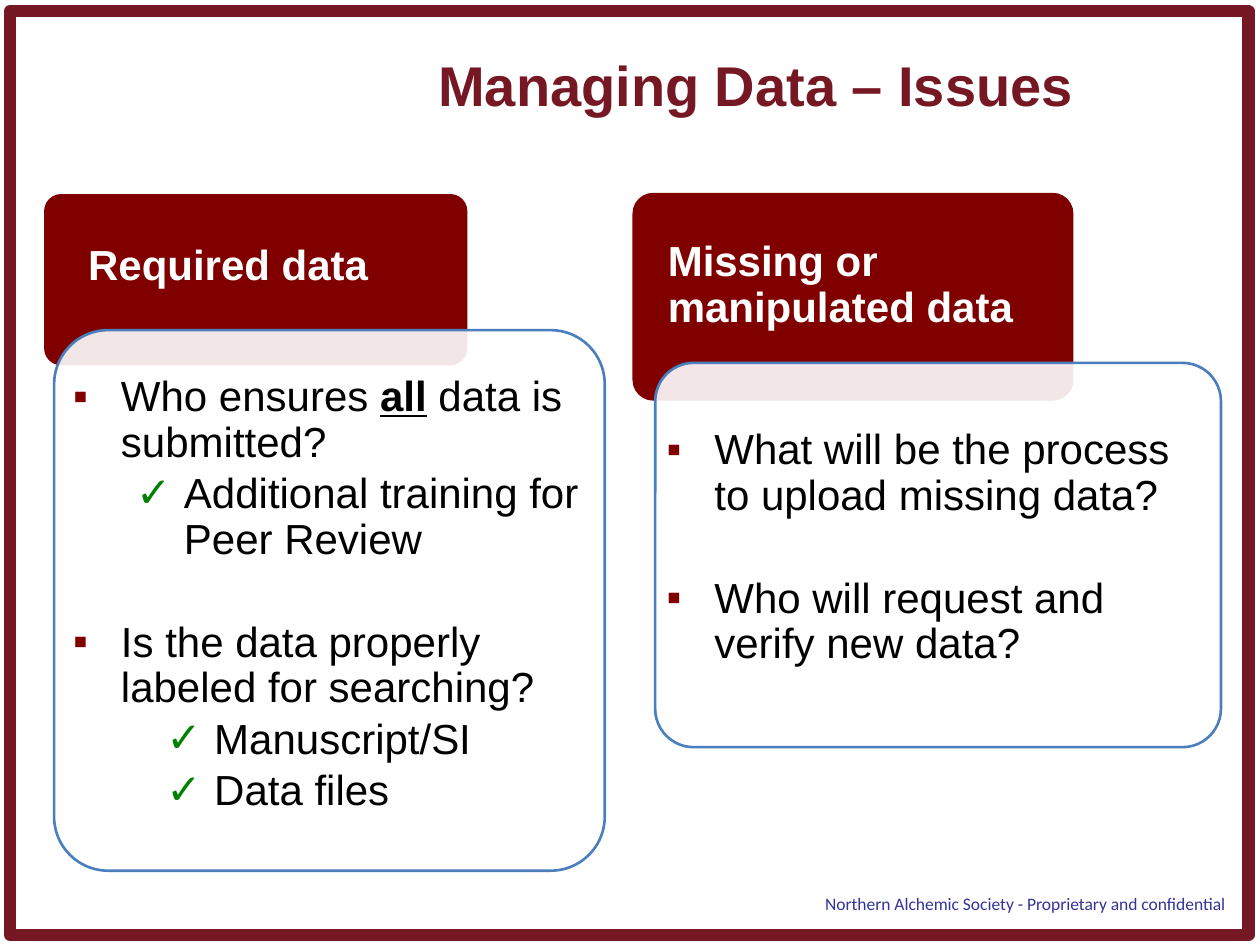
from lxml import etree
from pptx import Presentation
from pptx.dml.color import RGBColor
from pptx.enum.shapes import MSO_SHAPE
from pptx.enum.text import MSO_ANCHOR, PP_ALIGN
from pptx.oxml.ns import qn
from pptx.util import Inches, Pt

RECTANGLE = MSO_SHAPE.RECTANGLE
ROUNDED = MSO_SHAPE.ROUNDED_RECTANGLE
TOP = MSO_ANCHOR.TOP
LEFT = PP_ALIGN.LEFT

CRIMSON = RGBColor(0x76, 0x18, 0x23)
MAROON = RGBColor(0x80, 0x00, 0x00)
GREEN = RGBColor(0x00, 0x80, 0x00)
BLUE = RGBColor(0x4B, 0x7E, 0xBC)
NAVY = RGBColor(0x33, 0x33, 0x99)
WHITE = RGBColor(0xFF, 0xFF, 0xFF)
BLACK = RGBColor(0x00, 0x00, 0x00)

HANGING = 0.38
ITEM_GAP = 3.6
TOPIC_GAP = 33  # space that separates one question from the next

# Bullet character, colour and text indent for each kind of list item
QUESTION = ("▪", MAROON, 0.38)
CHECK = ("✓", GREEN, 0.88)
DEEP_CHECK = ("✓", GREEN, 1.12)

# Each item: kind, runs as (text, emphasised), space after in points
REQUIRED_ITEMS = [
    (QUESTION, [("Who ensures ", False), ("all", True),
                (" data is submitted?", False)], ITEM_GAP),
    (CHECK, [("Additional training for Peer Review", False)], TOPIC_GAP),
    (QUESTION, [("Is the data properly labeled for searching?", False)], ITEM_GAP),
    (DEEP_CHECK, [("Manuscript/SI", False)], ITEM_GAP),
    (DEEP_CHECK, [("Data files", False)], ITEM_GAP),
]
MISSING_ITEMS = [
    (QUESTION, [("What will be the process to upload missing data?", False)], TOPIC_GAP),
    (QUESTION, [("Who will request and verify new data?", False)], ITEM_GAP),
]


def add_box(slide, kind, box, fill=None, line=None, width=1.5, opacity=None):
    """Place a plain preset shape in box (left, top, width, height)."""
    shape = slide.shapes.add_shape(kind, *map(Inches, box))
    shape.shadow.inherit = False
    if kind == ROUNDED:
        shape.adjustments[0] = 0.1
    if fill is None:
        shape.fill.background()
    else:
        shape.fill.solid()
        shape.fill.fore_color.rgb = fill
    if line is None:
        shape.line.fill.background()
    else:
        shape.line.color.rgb = line
        shape.line.width = Pt(width)
    if opacity is not None:
        color = shape.fill._xPr.find(qn("a:solidFill"))[0]
        etree.SubElement(color, qn("a:alpha"), val=str(opacity * 1000))


def set_bullet(paragraph, char, color, indent):
    properties = paragraph._p.get_or_add_pPr()
    properties.set("marL", str(Inches(indent)))
    properties.set("indent", str(-Inches(HANGING)))
    bullet_color = etree.SubElement(properties, qn("a:buClr"))
    etree.SubElement(bullet_color, qn("a:srgbClr"), val=str(color))
    etree.SubElement(properties, qn("a:buFont"), typeface="Arial")
    etree.SubElement(properties, qn("a:buChar"), char=char)


def add_text(slide, box, items, size=24, font="Arial", color=BLACK, bold=False,
             margins=(0.1, 0.05, 0.1, 0.05), wrap=True, line_spacing=None):
    """Write list items, or one plain string, in box."""
    frame = slide.shapes.add_textbox(*map(Inches, box)).text_frame
    frame.word_wrap = wrap
    frame.vertical_anchor = TOP
    (frame.margin_left, frame.margin_top,
     frame.margin_right, frame.margin_bottom) = map(Inches, margins)
    if isinstance(items, str):
        items = [(None, [(items, False)], 0)]
    for index, (bullet, runs, gap) in enumerate(items):
        paragraph = frame.add_paragraph() if index else frame.paragraphs[0]
        paragraph.alignment = LEFT
        paragraph.space_after = Pt(gap)
        if line_spacing:
            paragraph.line_spacing = line_spacing
        if bullet:
            set_bullet(paragraph, *bullet)
        for text, emphasised in runs:
            run = paragraph.add_run()
            run.text = text
            run.font.name = font
            run.font.size = Pt(size)
            run.font.color.rgb = color
            run.font.bold = bold or emphasised
            run.font.underline = emphasised


def add_heading(slide, box, text_box, heading):
    add_box(slide, ROUNDED, box, fill=MAROON)
    add_text(slide, text_box, heading, color=WHITE, bold=True,
             margins=(0.28, 0.28, 0.28, 0.15), line_spacing=0.9)


def add_questions(slide, box, text_box, items):
    add_box(slide, ROUNDED, box, fill=WHITE, line=BLUE, opacity=90)
    add_text(slide, text_box, items, margins=(0.19,) * 4, line_spacing=0.9)


def main():
    prs = Presentation()
    prs.slide_width, prs.slide_height = Inches(10), Inches(7.5)
    slide = prs.slides.add_slide(prs.slide_layouts[6])

    # Slide border
    add_box(slide, RECTANGLE, (0.08, 0.09, 9.83, 7.33), line=CRIMSON, width=7)

    # Required data
    add_heading(slide, (0.35, 1.54, 3.36, 1.36), (0.42, 1.69, 3.44, 1.14),
                "Required data")
    add_questions(slide, (0.43, 2.62, 4.37, 4.29), (0.39, 2.79, 4.41, 4.66),
                  REQUIRED_ITEMS)

    # Missing or manipulated data
    add_heading(slide, (5.02, 1.53, 3.5, 1.65), (5.02, 1.63, 3.86, 1.1),
                "Missing or manipulated data")
    add_questions(slide, (5.2, 2.88, 4.49, 3.05), (5.1, 3.21, 4.6, 2.51),
                  MISSING_ITEMS)

    # Title and footer
    add_text(slide, (3.38, 0.35, 5.29, 0.64), "Managing Data – Issues",
             size=32, color=CRIMSON, bold=True, wrap=False)
    add_text(slide, (6.45, 7.04, 3.45, 0.27),
             "Northern Alchemic Society - Proprietary and confidential",
             size=10, font="Calibri", color=NAVY, wrap=False)

    prs.save("out.pptx")


if __name__ == "__main__":
    main()
